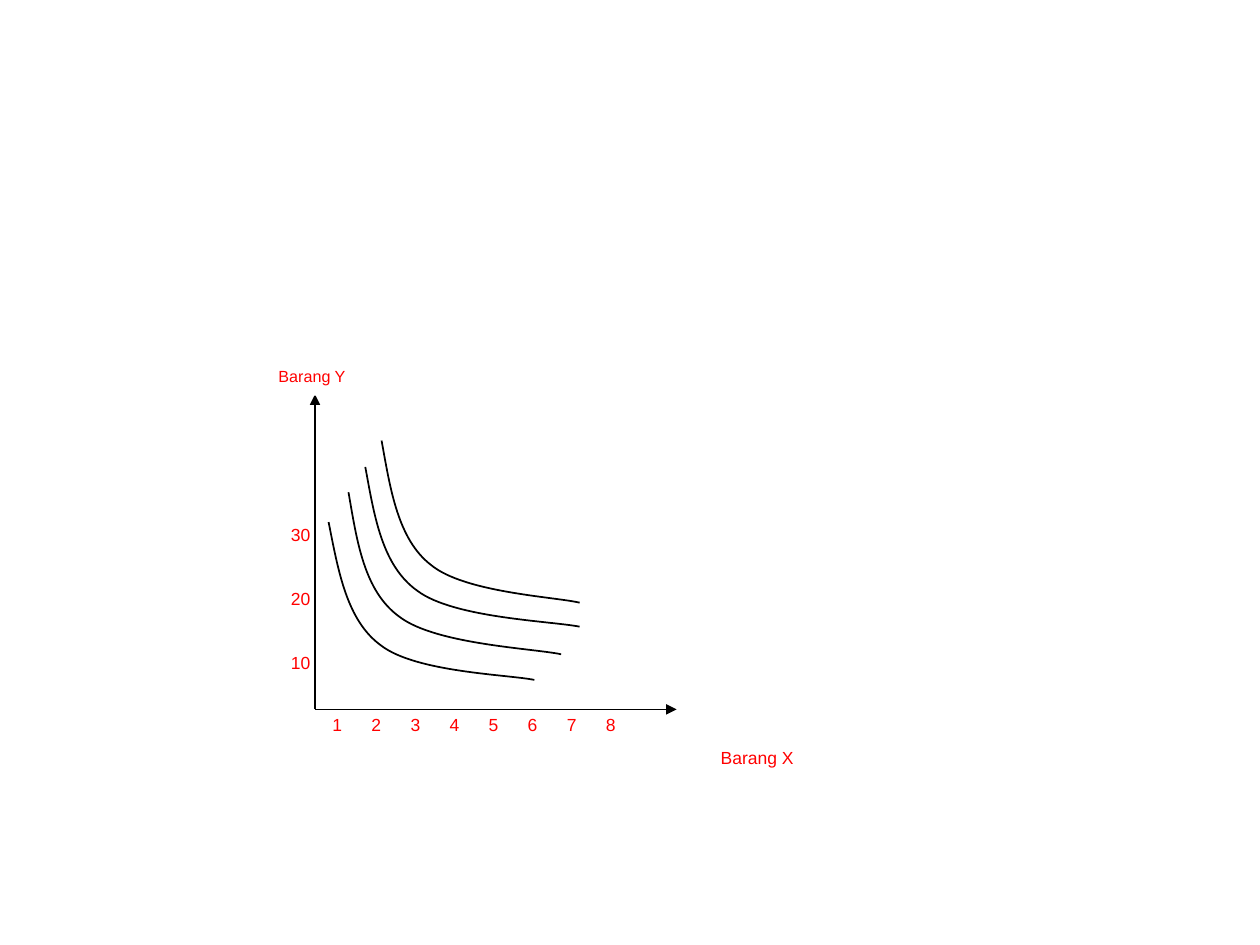
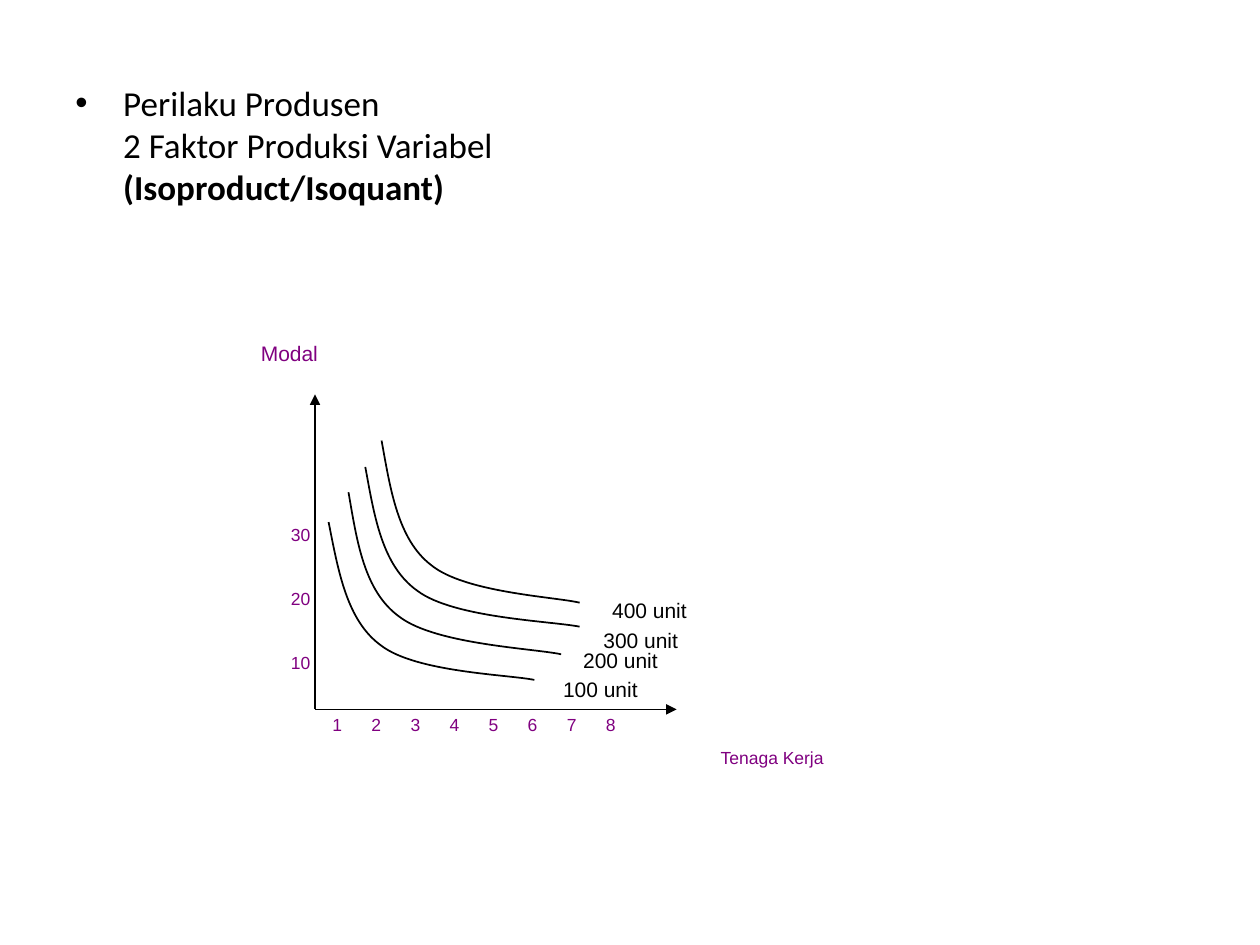
from lxml import etree
from pptx import Presentation
from pptx.dml.color import RGBColor
from pptx.enum.shapes import MSO_CONNECTOR, MSO_SHAPE
from pptx.enum.text import MSO_ANCHOR, PP_ALIGN
from pptx.oxml.ns import qn
from pptx.util import Pt

RECT = MSO_SHAPE.RECTANGLE
LINE = MSO_CONNECTOR.STRAIGHT
TOP, LEFT = MSO_ANCHOR.TOP, PP_ALIGN.LEFT
BLACK = RGBColor(0, 0, 0)
WHITE = RGBColor(255, 255, 255)
RED = RGBColor(255, 0, 0)
PURPLE = RGBColor(128, 0, 128)

PX = 9144  # 100 px to the inch
SIZE = (1000, 750)
PAD = 10

# Each axis title: text, box, left inset, size, line spacing
CHARTS = [
    dict(color=RED, head=[], units=[],
         x_name=("Barang X", (547, 588, 139, 31), 25, 10, 1.0),
         y_name=("Barang Y", (200, 288, 113, 26), 21, 9.2, 0.9)),
    dict(color=PURPLE,
         head=[("Perilaku Produsen\v2 Faktor Produksi Variabel\v", False),
               ("(Isoproduct/Isoquant)", True)],
         units=[("100 unit", 437, 532), ("200 unit", 453, 509),
                ("300 unit", 469, 493), ("400 unit", 476, 469)],
         x_name=("Tenaga Kerja", (547, 588, 139, 31), 25, 10, 1.0),
         y_name=("Modal", (185, 265, 112, 39), 22, 12, 1.0)),
]
X_TICKS, X_BOX, X_STEP = range(1, 9), (254, 562, 277, 34), 31
Y_TICKS, Y_BOX, Y_GAP = (30, 20, 10), (221, 411, 38, 150), 24.5
HEAD_BOX, HEAD_DENT = (50, 60, 900, 610), 38
UNIT_SIZE = (102, 30)
ORIGIN = (250, 563)
AXIS_ENDS = [(537, 563), (250, 313)]

# One Bezier outline in percent of its box, then a box and turn per curve
CURVE = [(0, 0), (1, 26), (1, 53), (18, 69), (35, 86), (86, 95), (100, 100)]
CURVES = [((272, 402, 141, 150), -9.3), ((286, 380, 150, 150), -7.7),
          ((300, 359, 150, 150), -8.3), ((313, 339, 137, 150), -8.3)]


def emu(vals):
    return [v * PX for v in vals]


def style(font, color, **vals):
    font.color.rgb = color
    for key, val in vals.items():
        setattr(font, key, val)


def frame(shape, inset=PAD):
    """Prepare the text frame of a box and return it."""
    body = shape.text_frame
    vals = dict(word_wrap=True, vertical_anchor=TOP, margin_left=inset * PX,
                margin_right=PAD * PX, margin_top=5 * PX, margin_bottom=5 * PX)
    for key, val in vals.items():
        setattr(body, key, val)
    return body


def panel(slide, box, inset=PAD):
    """Add a white box without outline and return its text frame."""
    shape = slide.shapes.add_shape(RECT, *emu(box))
    shape.shadow.inherit = False
    shape.fill.solid()
    shape.fill.fore_color.rgb = WHITE
    shape.line.fill.background()
    return frame(shape, inset)


def write(para, text, color, size, space=1.0):
    para.text = text
    para.alignment = LEFT
    para.line_spacing = space
    style(para.font, color, name="Arial", size=Pt(size))


def add_name(slide, spec_row, color):
    text, box, inset, size, space = spec_row
    body = panel(slide, box, inset)
    write(body.paragraphs[0], text, color, size, space)


def add_ticks(slide, color):
    body = panel(slide, Y_BOX)
    for i, tick in enumerate(Y_TICKS):
        para = body.add_paragraph() if i else body.paragraphs[0]
        write(para, str(tick), color, 10)
        if i:
            para.space_before = Pt(Y_GAP)

    para = panel(slide, X_BOX).paragraphs[0]
    tabs = etree.SubElement(para._p.get_or_add_pPr(), qn("a:tabLst"))
    for i in range(1, len(X_TICKS)):
        etree.SubElement(tabs, qn("a:tab"), pos=str(i * X_STEP * PX), algn="l")
    write(para, "\t".join(map(str, X_TICKS)), color, 10)


def add_axis(slide, end):
    axis = slide.shapes.add_connector(LINE, *emu(ORIGIN + end))
    axis.line.color.rgb = BLACK
    axis.line.width = Pt(1)
    etree.SubElement(axis.line._get_or_add_ln(), qn("a:tailEnd"), type="triangle")
    etree.SubElement(axis._element.spPr, qn("a:effectLst"))


def add_curve(slide, box, turn):
    left, top, wide, high = box
    pts = [(left * 100 + x * wide, top * 100 + y * high) for x, y in CURVE]
    pen = slide.shapes.build_freeform(*pts[0], scale=PX / 100)
    pen.add_line_segments(pts[1:], close=False)
    shape = pen.convert_to_shape()
    shape.rotation = turn
    shape.shadow.inherit = False
    shape.fill.background()
    shape.line.color.rgb = BLACK
    shape.line.width = Pt(1)
    # Every three points form one Bezier segment
    lines = list(shape._element.iter(qn("a:lnTo")))
    for i in range(0, len(lines), 3):
        bend = etree.SubElement(lines[i].getparent(), qn("a:cubicBezTo"))
        for line in lines[i:i + 3]:
            bend.append(line[0])
            line.getparent().remove(line)


def add_head(slide, runs):
    body = frame(slide.shapes.add_textbox(*emu(HEAD_BOX)))
    para = body.paragraphs[0]
    props = para._p.get_or_add_pPr()
    props.set("marL", str(HEAD_DENT * PX))
    props.set("indent", str(-HEAD_DENT * PX))
    etree.SubElement(props, qn("a:buFont"), typeface="Arial")
    etree.SubElement(props, qn("a:buChar"), char="•")
    for text, bold in runs:
        *rows, last = text.split("\v")
        for row in rows + [last] * bool(last):
            run = para.add_run()
            run.text = row
            style(run.font, BLACK, name="Calibri", size=Pt(20), bold=bold)
            if row in rows:
                para.add_line_break()


def add_unit(slide, text, left, top):
    box = slide.shapes.add_textbox(*emu((left, top) + UNIT_SIZE))
    write(frame(box).paragraphs[0], text, BLACK, 12)


def add_chart_slide(deck, chart):
    slide = deck.slides.add_slide(deck.slide_layouts[6])
    color = chart["color"]
    if chart["head"]:
        add_head(slide, chart["head"])
    add_name(slide, chart["x_name"], color)
    add_ticks(slide, color)
    for end in AXIS_ENDS:
        add_axis(slide, end)
    add_name(slide, chart["y_name"], color)
    for box, turn in CURVES:
        add_curve(slide, box, turn)
    for unit in chart["units"]:
        add_unit(slide, *unit)


def main():
    deck = Presentation()
    deck.slide_width, deck.slide_height = emu(SIZE)
    for chart in CHARTS:
        add_chart_slide(deck, chart)
    deck.save("out.pptx")


if __name__ == "__main__":
    main()
